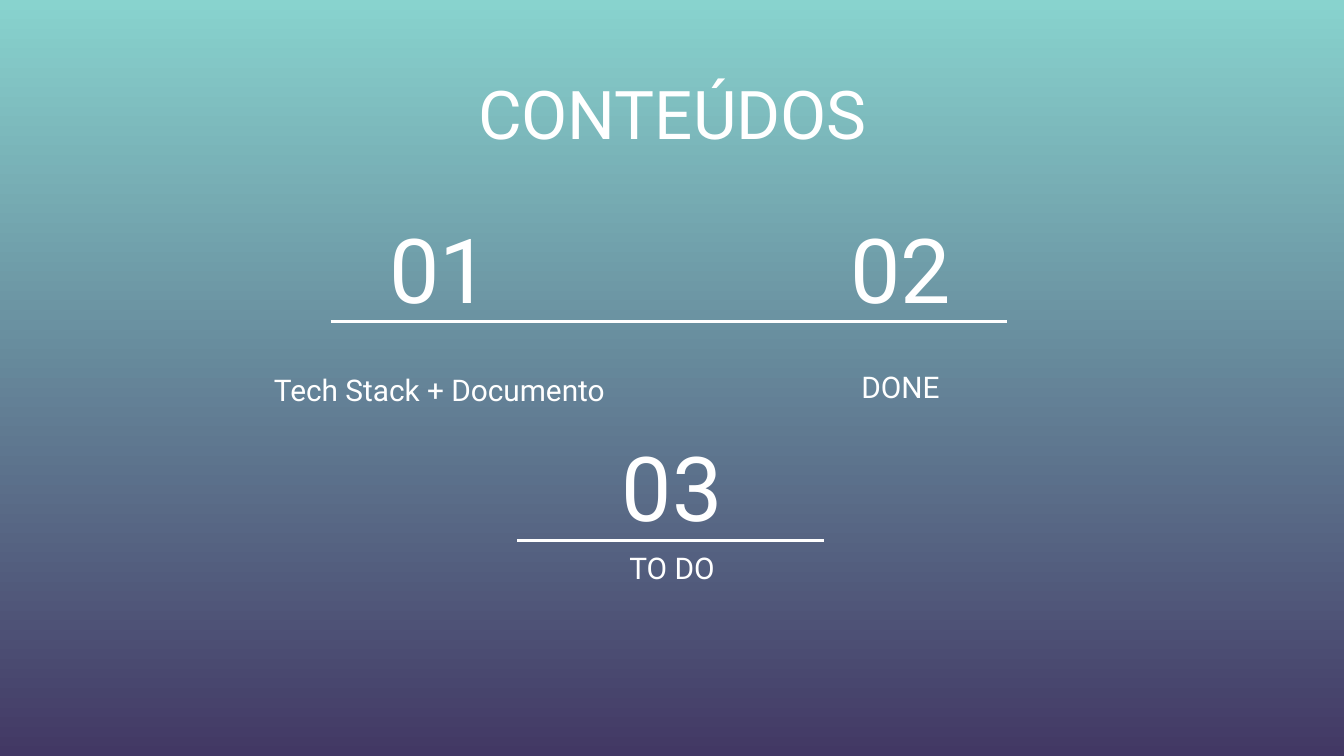
from lxml.etree import SubElement
from pptx import Presentation
from pptx.dml.color import RGBColor
from pptx.enum.shapes import MSO_CONNECTOR
from pptx.enum.text import MSO_ANCHOR as Anchor, MSO_AUTO_SIZE, PP_ALIGN
from pptx.oxml.ns import qn
from pptx.util import Inches, Pt

TITLE = "CONTEÚDOS"
FONT = "Roboto"
WHITE = "FFFFFF"
GRADIENT = ("88D3CE", "423864")
WIDTH = 10
HEIGHT = WIDTH * 9 / 16
BOX_HEIGHT = 0.63
NUMBER_WIDTH = 1.92

# number, its centre x and top; label, its centre x, top and width
SECTIONS = [
    ("01", 3.27, 1.68, "Tech Stack + Documento", 3.27, 2.5, 3.07),
    ("02", 6.7, 1.68, "DONE", 6.7, 2.48, 2.88),
    ("03", 5, 3.3, "TO DO", 5, 3.83, 2.88),
]
# left, right, height on the page
RULES = [(2.46, 7.49, 2.39), (3.85, 6.13, 4.02)]


def color(value):
    return RGBColor.from_string(value)


def write(box, text, size, anchor=Anchor.MIDDLE):
    frame = box.text_frame
    frame.word_wrap = True
    frame.auto_size = MSO_AUTO_SIZE.NONE
    frame.vertical_anchor = anchor
    frame.margin_left = frame.margin_right = Inches(0.1)
    frame.margin_top = frame.margin_bottom = Inches(0.1)
    para = frame.paragraphs[0]
    para.alignment = PP_ALIGN.CENTER
    para.line_spacing = 1.0
    para.space_before = Pt(0)
    span = para.add_run()
    span.text = text
    span.font.name = FONT
    span.font.size = Pt(size)
    span.font.color.rgb = color(WHITE)


def add_centred_text(page, text, center, top, width, **style):
    box = page.shapes.add_textbox(
        Inches(center - width / 2), Inches(top), Inches(width), Inches(BOX_HEIGHT))
    write(box, text, **style)


def add_rule(page, left, right, y):
    rule = page.shapes.add_connector(
        MSO_CONNECTOR.STRAIGHT, Inches(left), Inches(y), Inches(right), Inches(y))
    rule.line.color.rgb = color(WHITE)
    rule.line.width = Pt(1.5)
    SubElement(rule._element.spPr, qn("a:effectLst"))


def main():
    deck = Presentation()
    deck.slide_width, deck.slide_height = Inches(WIDTH), Inches(HEIGHT)
    page = deck.slides.add_slide(deck.slide_layouts[5])

    fill = page.background.fill
    fill.gradient()
    fill.gradient_angle = 270
    for stop, value in zip(fill.gradient_stops, GRADIENT):
        stop.color.rgb = color(value)

    title = page.shapes.title
    title.left, title.top = Inches(1.23), Inches(0.44)
    title.width, title.height = Inches(7.55), Inches(1.03)
    write(title, TITLE, size=36, anchor=Anchor.TOP)

    for number, number_x, number_y, label, label_x, label_y, label_width in SECTIONS:
        add_centred_text(page, number, number_x, number_y, NUMBER_WIDTH, size=48)
        add_centred_text(page, label, label_x, label_y, label_width,
                         size=16, anchor=Anchor.BOTTOM)
    for rule in RULES:
        add_rule(page, *rule)

    deck.save("out.pptx")


if __name__ == "__main__":
    main()
